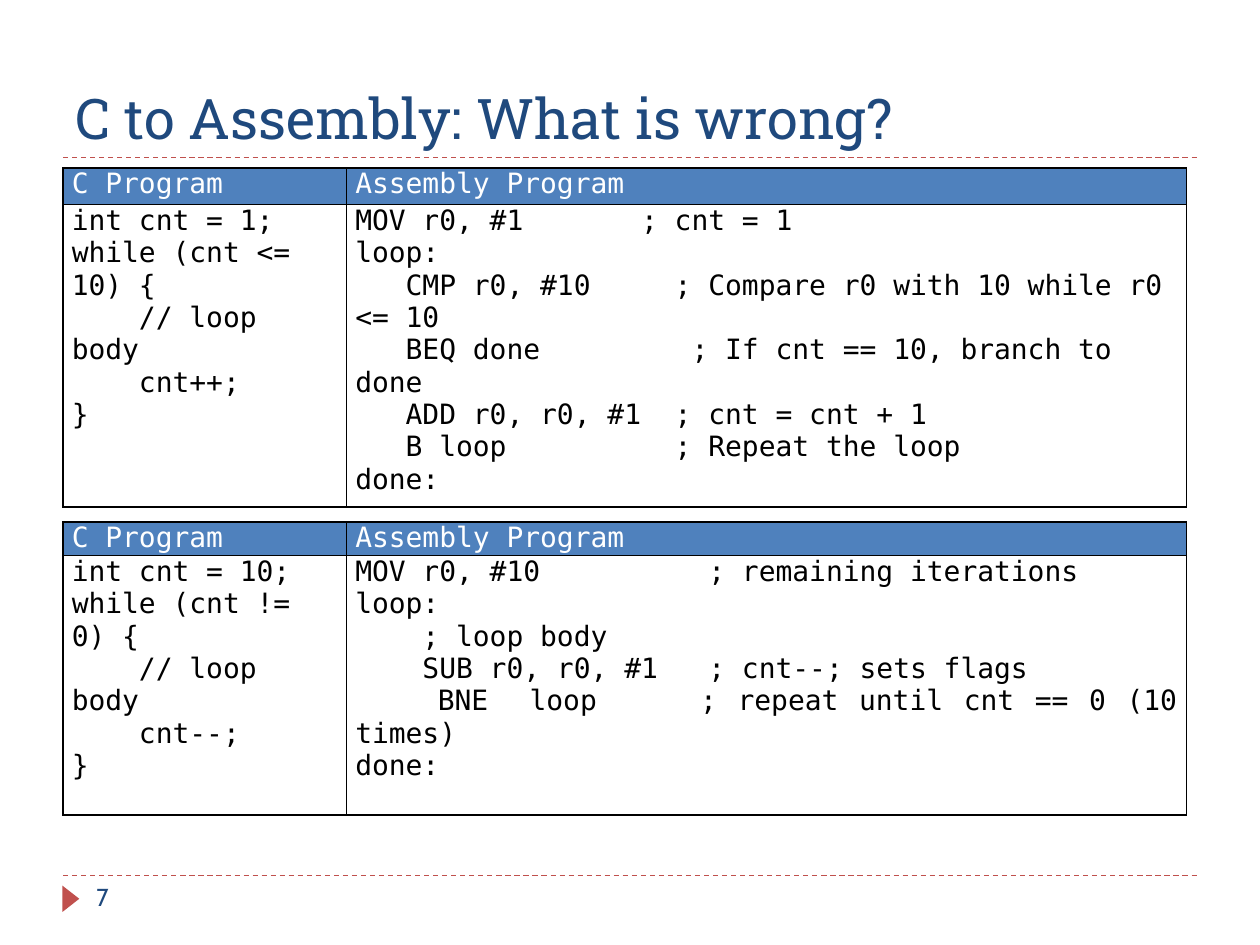
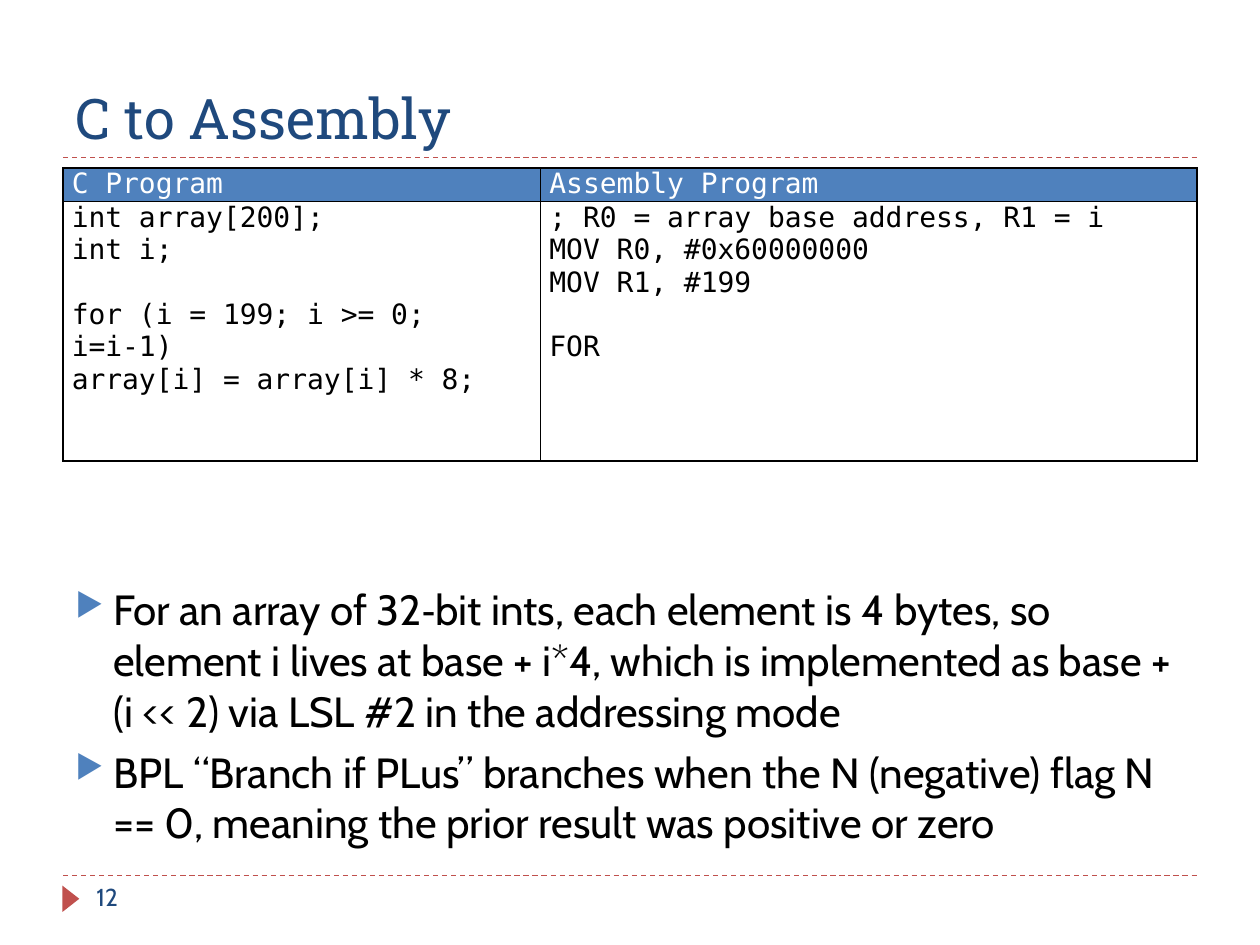
from lxml.etree import SubElement
from pptx import Presentation
from pptx.dml.color import RGBColor
from pptx.enum.dml import MSO_LINE
from pptx.enum.shapes import MSO_CONNECTOR, MSO_SHAPE
from pptx.enum.text import MSO_ANCHOR, MSO_AUTO_SIZE, PP_ALIGN
from pptx.oxml.ns import qn
from pptx.util import Inches, Pt

COLOURS = {
    "accent": "C0504D",
    "heading": "1F497D",
    "band": "4F81BD",
    "code": "000000",
    "white": "FFFFFF",
}
TITLE_FONT, BODY_FONT, CODE_FONT = "Roboto Slab", "Cabin", "DejaVu Sans Mono"
CODE_SIZE = 16
HEADINGS = ("C Program", "Assembly Program")

# Grid of 120 columns by 90 rows
COLUMNS, ROWS = 120, 90
LEFT, WIDTH = 6, 108
TITLE_RULE, FOOTER_RULE = 15, 83.4
TABLE_TOP = 16
HEADER_HEIGHT = 3.08


def colour(name):
    return RGBColor.from_string(COLOURS[name])


class Deck:
    def __init__(self):
        self.presentation = Presentation()
        self.presentation.slide_width = Inches(10)
        self.presentation.slide_height = Inches(7.5)
        self.slide = None

    def x(self, columns):
        return round(self.presentation.slide_width * columns / COLUMNS)

    def y(self, rows):
        return round(self.presentation.slide_height * rows / ROWS)

    def box(self, left, top, width, height):
        return self.x(left), self.y(top), self.x(width), self.y(height)

    def style(self, paragraph, font, size, name):
        for run in paragraph.runs:
            run.font.name = font
            run.font.size = Pt(size)
            run.font.bold = False
            run.font.color.rgb = colour(name)
        if not paragraph.runs:  # an empty line of code keeps its height
            ending = SubElement(paragraph._p, qn("a:endParaRPr"), sz=str(size * 100))
            SubElement(ending, qn("a:latin"), typeface=font)

    def new_slide(self, title, number):
        self.slide = self.presentation.slides.add_slide(
            self.presentation.slide_layouts[5])
        self.rule(FOOTER_RULE)
        self.rule(TITLE_RULE)
        self.marker()
        self.title(title)
        self.text(number, (8, FOOTER_RULE, 26, 4.8), 14, "heading")

    def title(self, words):
        heading = self.slide.shapes.title
        heading.left, heading.top, heading.width, heading.height = self.box(
            LEFT, 2, WIDTH, 13)
        frame = heading.text_frame
        frame.text = words
        frame.auto_size = MSO_AUTO_SIZE.NONE
        frame.vertical_anchor = MSO_ANCHOR.BOTTOM
        frame.paragraphs[0].alignment = PP_ALIGN.LEFT
        self.style(frame.paragraphs[0], TITLE_FONT, 32, "heading")

    def rule(self, row):
        rule = self.slide.shapes.add_connector(
            MSO_CONNECTOR.STRAIGHT, self.x(LEFT), self.y(row),
            self.x(LEFT + WIDTH), self.y(row))
        rule.line.color.rgb = colour("accent")
        rule.line.width = Pt(0.75)
        rule.line.dash_style = MSO_LINE.DASH
        SubElement(rule._element.spPr, qn("a:effectLst"))

    def marker(self):
        marker = self.slide.shapes.add_shape(
            MSO_SHAPE.ISOSCELES_TRIANGLE, *self.box(5.5, 84.8, 2.5, 1.6))
        marker.rotation = 90
        marker.shadow.inherit = False
        marker.fill.solid()
        marker.fill.fore_color.rgb = colour("accent")
        marker.line.fill.background()

    def text(self, words, place, size, name, bulleted=False):
        frame = self.slide.shapes.add_textbox(*self.box(*place)).text_frame
        frame.word_wrap = True
        frame.text = words
        for index, paragraph in enumerate(frame.paragraphs):
            if bulleted:
                self.bullet(paragraph)
                paragraph.space_before = Pt(6 if index else 0)
            self.style(paragraph, BODY_FONT, size, name)

    def bullet(self, paragraph):
        properties = paragraph._p.get_or_add_pPr()
        indent = Inches(0.3)
        properties.set("marL", str(indent))
        properties.set("indent", str(-indent))
        tint = SubElement(properties, qn("a:buClr"))
        SubElement(tint, qn("a:srgbClr"), val=COLOURS["band"])
        SubElement(properties, qn("a:buSzPct"), val="76000")
        SubElement(properties, qn("a:buChar"), char="▶")

    def borders(self, cell):
        properties = cell._tc.get_or_add_tcPr()
        for side in ("lnL", "lnR", "lnT", "lnB"):
            line = SubElement(properties, qn(f"a:{side}"), w=str(Pt(1)))
            fill = SubElement(line, qn("a:solidFill"))
            SubElement(fill, qn("a:srgbClr"), val=COLOURS["code"])

    def cell(self, cell, words, name, alignment, band=False):
        cell.margin_left = cell.margin_right = self.x(0.84)
        cell.margin_top = cell.margin_bottom = 0
        cell.text_frame.text = words
        for paragraph in cell.text_frame.paragraphs:
            paragraph.alignment = alignment
            self.style(paragraph, CODE_FONT, CODE_SIZE, name)
        self.borders(cell)
        if band:
            cell.fill.solid()
            cell.fill.fore_color.rgb = colour("band")
        else:
            cell.fill.background()

    def code_table(self, top, widths, heights, programs,
                   assembly_alignment=PP_ALIGN.JUSTIFY):
        table = self.slide.shapes.add_table(
            2, 2, *self.box(LEFT, top, sum(widths), sum(heights))).table
        table.horz_banding = False
        for row, height in zip(table.rows, heights):
            row.height = self.y(height)
        alignments = (PP_ALIGN.LEFT, assembly_alignment)
        for index, width in enumerate(widths):
            table.columns[index].width = self.x(width)
            self.cell(table.cell(0, index), HEADINGS[index], "white",
                      PP_ALIGN.JUSTIFY, band=True)
            self.cell(table.cell(1, index), programs[index], "code",
                      alignments[index])


# Code shown in the tables
COUNT_UP = (
    """int cnt = 1;
while (cnt <= 10) {
    // loop body
    cnt++;
}""",
    """MOV r0, #1       ; cnt = 1
loop:
   CMP r0, #10     ; Compare r0 with 10 while r0 <= 10
   BEQ done         ; If cnt == 10, branch to done
   ADD r0, r0, #1  ; cnt = cnt + 1
   B loop          ; Repeat the loop
done:""")

COUNT_DOWN = (
    """int cnt = 10;
while (cnt != 0) {
    // loop body
    cnt--;
}""",
    """MOV r0, #10          ; remaining iterations
loop:
    ; loop body
    SUB r0, r0, #1   ; cnt--; sets flags
    BNE  loop     ; repeat until cnt == 0 (10 times)
done:""")

ARRAY_SCALING = (
    """int array[200];
int i;

for (i = 199; i >= 0; i=i-1)
array[i] = array[i] * 8;""",
    """; R0 = array base address, R1 = i
MOV R0, #0x60000000
MOV R1, #199

FOR""")

ARRAY_NOTES = """For an array of 32‑bit ints, each element is 4 bytes, so element i lives at base + i*4, which is implemented as base + (i << 2) via LSL #2 in the addressing mode
BPL “Branch if PLus” branches when the N (negative) flag N == 0, meaning the prior result was positive or zero"""


def main():
    deck = Deck()

    # Two loops to check
    deck.new_slide("C to Assembly: What is wrong?", "7")
    loop_widths = (27, 80)
    deck.code_table(TABLE_TOP, loop_widths, (3.5, 27.7), COUNT_UP, PP_ALIGN.LEFT)
    deck.code_table(49.7, loop_widths, (HEADER_HEIGHT, 24.7), COUNT_DOWN)

    # Array exercise with notes
    deck.new_slide("C to Assembly", "12")
    deck.text(ARRAY_NOTES, (LEFT, 55, WIDTH, 25.8), 24.1, "code", bulleted=True)
    deck.code_table(TABLE_TOP, (45.5, 62.5), (HEADER_HEIGHT, 24.7), ARRAY_SCALING)

    deck.presentation.save("out.pptx")


if __name__ == "__main__":
    main()
